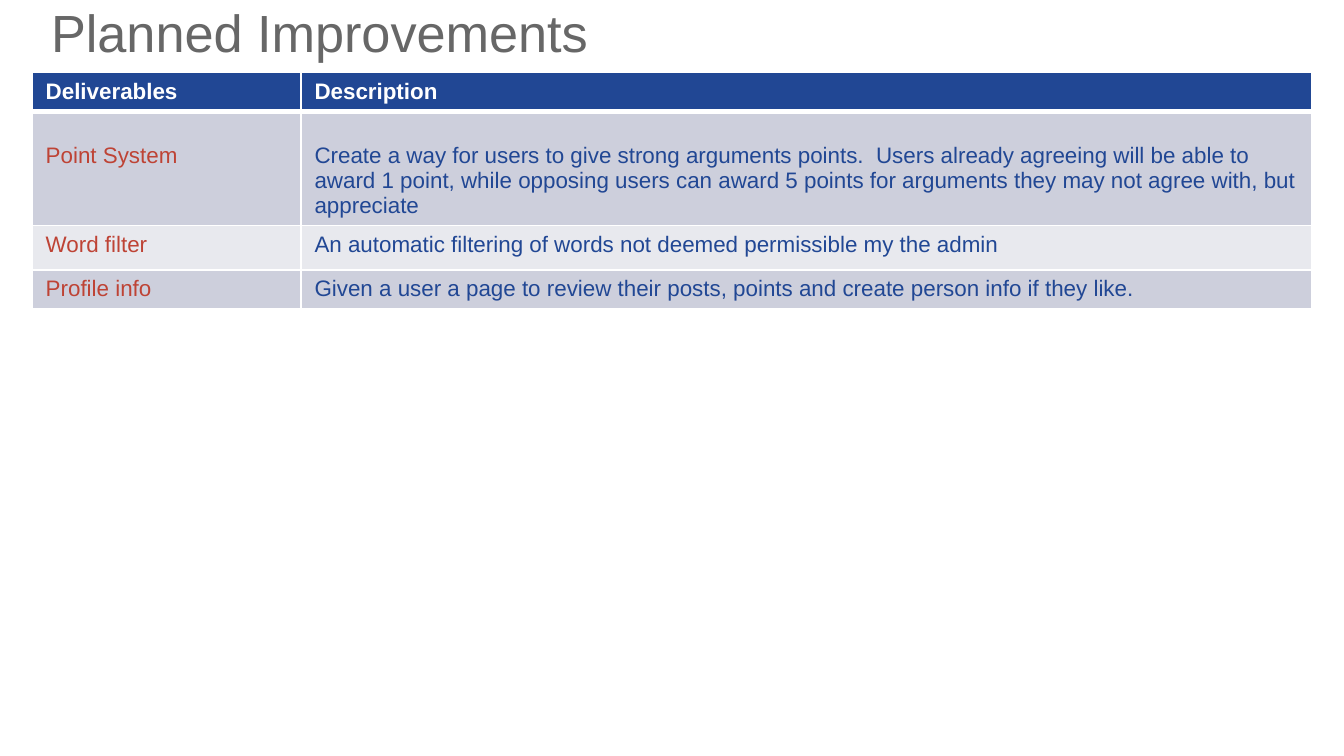
from dataclasses import dataclass

from lxml import etree
from pptx import Presentation
from pptx.dml.color import RGBColor
from pptx.enum import text
from pptx.oxml import ns
from pptx.util import Inches, Pt


@dataclass(frozen=True)
class Theme:
    font: str = "Arial"
    title_size: int = 28
    table_size: int = 12
    title: str = "676767"
    navy: str = "214794"
    red: str = "BE4335"
    white: str = "FFFFFF"
    bands: tuple = ("CDCFDC", "E8E9EE")
    rule: int = 1
    header_rule: int = 3


theme = Theme()


def add_run(para, words, size, color, bold=False):
    span = para.add_run()
    span.text = words
    span.font.name = theme.font
    span.font.size = Pt(size)
    span.font.bold = bold
    span.font.color.rgb = RGBColor.from_string(color)


def add_border(cell, side, width):
    line = etree.SubElement(cell._tc.get_or_add_tcPr(), ns.qn(f"a:ln{side}"), w=str(Pt(width)))
    fill = etree.SubElement(line, ns.qn("a:solidFill"))
    etree.SubElement(fill, ns.qn("a:srgbClr"), val=theme.white)


deck = Presentation()
deck.slide_width = Inches(10)
deck.slide_height = Inches(10 * 9 / 16)
page = deck.slides.add_slide(deck.slide_layouts.get_by_name("Title Only"))

title = page.shapes.title
title.left, title.top = Inches(0.28), Inches(0.02)
title.width, title.height = Inches(9.44), Inches(0.51)
frame = title.text_frame
frame.auto_size = text.MSO_AUTO_SIZE.NONE
frame.vertical_anchor = text.MSO_ANCHOR.MIDDLE
para = frame.paragraphs[0]
para.alignment = text.PP_ALIGN.LEFT
para.line_spacing = 0.8
add_run(para, "Planned Improvements", theme.title_size, theme.title)

rows = [
    ("Deliverables", "Description"),
    (
        "Point System",
        "Create a way for users to give strong arguments points.  Users already agreeing "
        "will be able to award 1 point, while opposing users can award 5 points for "
        "arguments they may not agree with, but appreciate",
    ),
    ("Word filter", "An automatic filtering of words not deemed permissible my the admin"),
    (
        "Profile info",
        "Given a user a page to review their posts, points and create person info if they like.",
    ),
]
column_widths = [2, 7.52]
row_heights = [0.28, 0.84, 0.33, 0.28]
top_margins = [0.05, 0.24, 0.05, 0.05]

table = page.shapes.add_table(
    len(rows), len(column_widths), Inches(0.24), Inches(0.54),
    Inches(sum(column_widths)), Inches(sum(row_heights)),
).table
for column, width in zip(table.columns, column_widths):
    column.width = Inches(width)

for r, words in enumerate(rows):
    table.rows[r].height = Inches(row_heights[r])
    header = r == 0
    fill = theme.navy if header else theme.bands[(r - 1) % 2]
    colors = (theme.white, theme.white) if header else (theme.red, theme.navy)
    for c, color in enumerate(colors):
        cell = table.cell(r, c)
        cell.margin_top = Inches(top_margins[r])
        for side in "LRTB":
            thick = (r, side) in ((0, "B"), (1, "T"))
            add_border(cell, side, theme.header_rule if thick else theme.rule)
        cell.fill.solid()
        cell.fill.fore_color.rgb = RGBColor.from_string(fill)
        add_run(cell.text_frame.paragraphs[0], words[c], theme.table_size, color, header)

deck.save("out.pptx")
